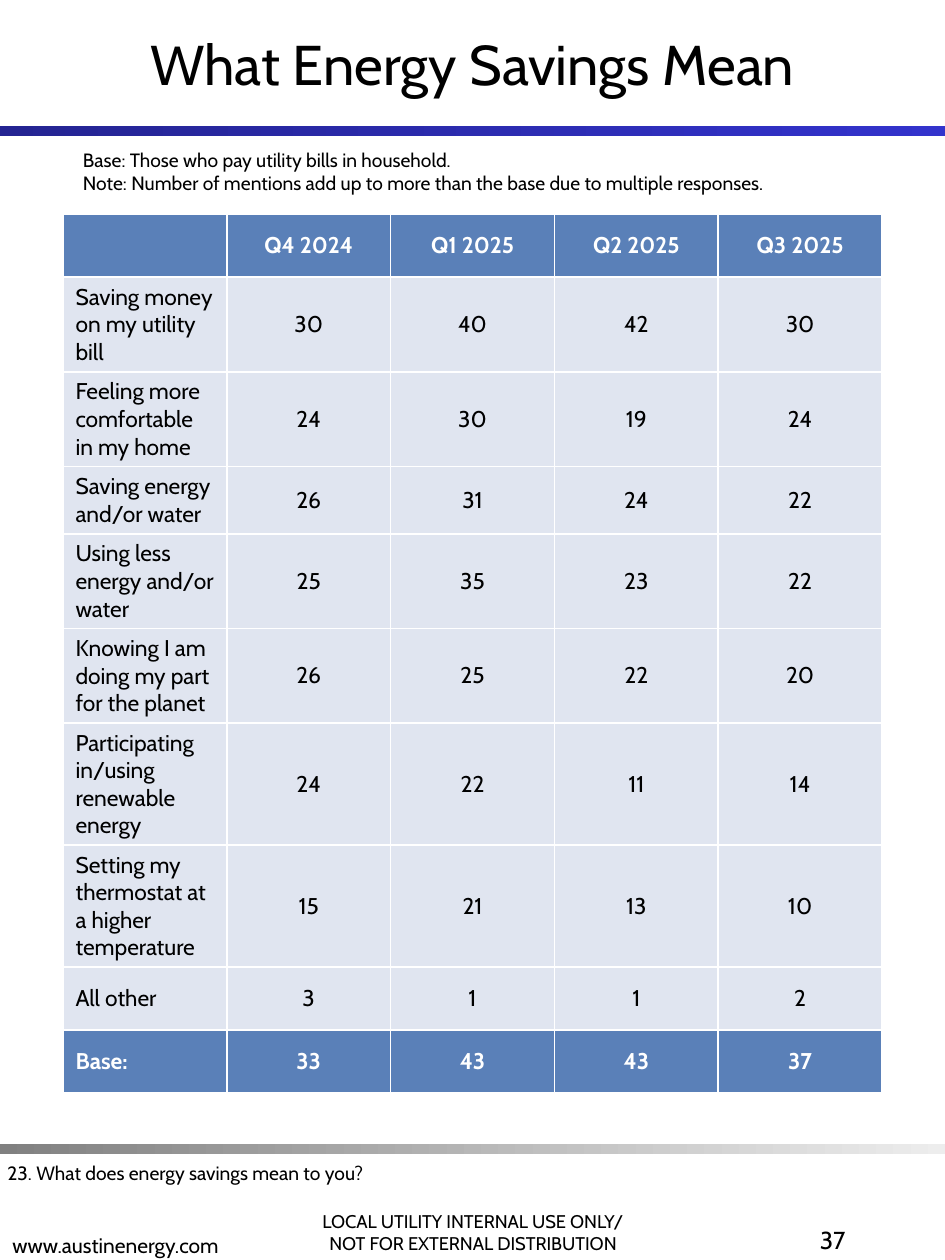
"""Build the energy savings survey slide."""
from dataclasses import dataclass

from pptx import Presentation
from pptx.dml.color import RGBColor
from pptx.enum import shapes, text
from pptx.util import Inches, Pt

FONT = "Cabin"
BLACK = RGBColor(0x00, 0x00, 0x00)
WHITE = RGBColor(0xFF, 0xFF, 0xFF)
NAVY = RGBColor(0x24, 0x24, 0x92)
BLUE = RGBColor(0x33, 0x33, 0xCC)
GRAY = RGBColor(0x80, 0x80, 0x80)
LIGHT_GRAY = RGBColor(0xED, 0xED, 0xED)
HEADER_FILL = RGBColor(0x5A, 0x80, 0xB8)
BODY_FILL = RGBColor(0xE0, 0xE5, 0xF0)
LEFT, CENTER, RIGHT = text.PP_ALIGN.LEFT, text.PP_ALIGN.CENTER, text.PP_ALIGN.RIGHT
TOP, MIDDLE, BOTTOM = text.MSO_ANCHOR.TOP, text.MSO_ANCHOR.MIDDLE, text.MSO_ANCHOR.BOTTOM
SLIDE_WIDTH, SLIDE_HEIGHT = 7.5, 10
COLUMN_WIDTH, ROW_HEIGHT = 1.3, 0.5


@dataclass
class Band:
    top: float
    start: RGBColor
    end: RGBColor


@dataclass
class Label:
    left: float
    top: float
    width: float
    height: float
    lines: list[str]
    size: float
    align: text.PP_ALIGN = LEFT
    anchor: text.MSO_ANCHOR = TOP


BANDS = [Band(1, NAVY, BLUE), Band(9.08, GRAY, LIGHT_GRAY)]
LABELS = [
    Label(2.16, 9.33, 3.19, 0.67,
          ["LOCAL UTILITY INTERNAL USE ONLY/", "NOT FOR EXTERNAL DISTRIBUTION"],
          10.5, CENTER, BOTTOM),
    Label(0, 9.36, 3.19, 0.67, ["www.austinenergy.com"], 12, LEFT, BOTTOM),
    Label(5.25, 9.67, 1.56, 0.67, ["37"], 14, RIGHT),
    Label(-0.04, 9.17, 6.85, 0.29, ["23. What does energy savings mean to you?"], 11),
    Label(0.56, 1.13, 5.96, 0.47,
          ["Base: Those who pay utility bills in household.",
           "Note: Number of mentions add up to more than the base due to multiple responses."],
          11),
]
ROWS = [
    ("", "Q4 2024", "Q1 2025", "Q2 2025", "Q3 2025"),
    ("Saving money on my utility bill", 30, 40, 42, 30),
    ("Feeling more comfortable in my home", 24, 30, 19, 24),
    ("Saving energy and/or water", 26, 31, 24, 22),
    ("Using less energy and/or water", 25, 35, 23, 22),
    ("Knowing I am doing my part for the planet", 26, 25, 22, 20),
    ("Participating in/using renewable energy", 24, 22, 11, 14),
    ("Setting my thermostat at a higher temperature", 15, 21, 13, 10),
    ("All other", 3, 1, 1, 2),
    ("Base:", 33, 43, 43, 37),
]


def format_text(frame, size: float, align: text.PP_ALIGN,
                color: RGBColor = BLACK, bold: bool = False) -> None:
    for paragraph in frame.paragraphs:
        paragraph.alignment = align
        font = paragraph.font
        font.name, font.size, font.bold = FONT, Pt(size), bold
        font.color.rgb = color


def add_band(slide, band: Band) -> None:
    shape = slide.shapes.add_shape(
        shapes.MSO_SHAPE.RECTANGLE, 0, Inches(band.top), Inches(SLIDE_WIDTH), Inches(0.08))
    shape.shadow.inherit = False
    shape.line.fill.background()
    shape.fill.gradient()
    shape.fill.gradient_angle = 0
    for stop, color in zip(shape.fill.gradient_stops, (band.start, band.end)):
        stop.color.rgb = color


def add_label(slide, label: Label) -> None:
    box = slide.shapes.add_textbox(
        Inches(label.left), Inches(label.top), Inches(label.width), Inches(label.height))
    frame = box.text_frame
    frame.word_wrap = True
    frame.vertical_anchor = label.anchor
    frame.text = "\n".join(label.lines)
    format_text(frame, label.size, label.align)


def format_title(slide, words: str) -> None:
    title = slide.shapes.title
    title.left, title.top = 0, 0
    title.width, title.height = Inches(SLIDE_WIDTH), Inches(1)
    title.text_frame.text = words
    title.text_frame.vertical_anchor = MIDDLE
    format_text(title.text_frame, 32, CENTER)


def add_results_table(slide, rows: list[tuple]) -> None:
    column_count = len(rows[0])
    table = slide.shapes.add_table(
        len(rows), column_count, Inches(0.5), Inches(1.7),
        Inches(COLUMN_WIDTH * column_count), Inches(ROW_HEIGHT * len(rows))).table
    table.horz_banding = False
    for row_index, values in enumerate(rows):
        emphasized = row_index in (0, len(rows) - 1)
        for column_index, value in enumerate(values):
            cell = table.cell(row_index, column_index)
            cell.text = str(value)
            cell.vertical_anchor = MIDDLE
            cell.fill.solid()
            cell.fill.fore_color.rgb = HEADER_FILL if emphasized else BODY_FILL
            format_text(cell.text_frame, 13, CENTER if column_index else LEFT,
                        WHITE if emphasized else BLACK, emphasized)


def main() -> None:
    presentation = Presentation()
    presentation.slide_width = Inches(SLIDE_WIDTH)
    presentation.slide_height = Inches(SLIDE_HEIGHT)
    slide = presentation.slides.add_slide(presentation.slide_layouts[5])
    for band in BANDS:
        add_band(slide, band)
    format_title(slide, "What Energy Savings Mean")
    for label in LABELS:
        add_label(slide, label)
    add_results_table(slide, ROWS)
    presentation.save("out.pptx")


if __name__ == "__main__":
    main()
